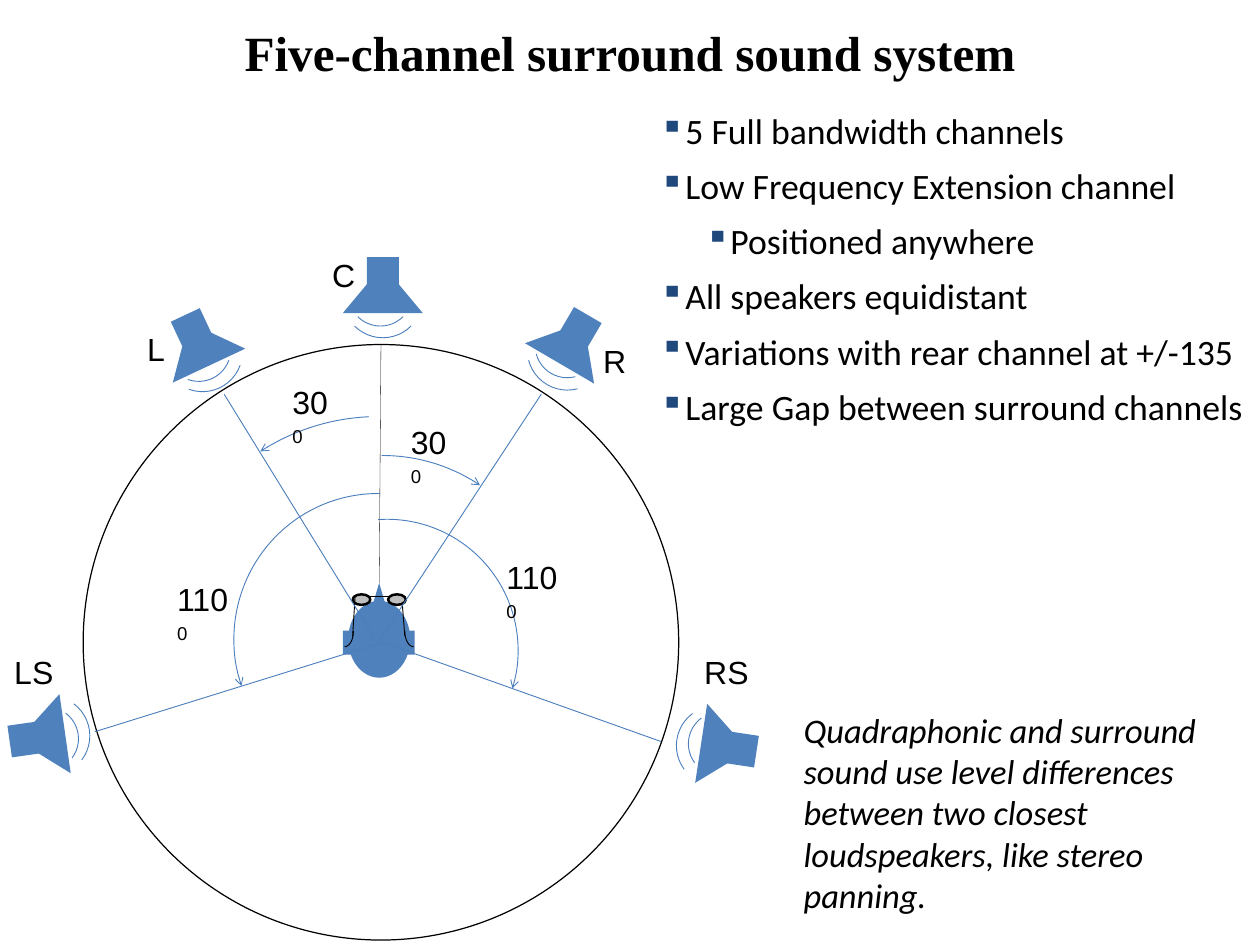
from lxml.etree import SubElement
from pptx import Presentation
from pptx.dml.color import RGBColor
from pptx.enum.shapes import MSO_CONNECTOR, MSO_SHAPE as Kind
from pptx.enum.text import MSO_ANCHOR as Anchor, PP_ALIGN as Align
from pptx.oxml.ns import qn
from pptx.util import Pt
from math import cos, radians, sin

BLACK, BLUE, LINE_BLUE, NAVY, GRAY = "000000", "4F81BD", "4B7EBC", "1F497D", "BFBFBF"

BULLETS = [
    ("5 Full bandwidth channels", 0),
    ("Low Frequency Extension channel", 0),
    ("Positioned anywhere", 1),
    ("All speakers equidistant", 0),
    ("Variations with rear channel at +/-135", 0),
    ("Large Gap between surround channels", 0),
]
BULLET_INDENTS = [(28, -21), (63.5, -19.5)]  # left margin and hanging indent by level

# Positions in the diagram are offsets from the centre of the circle.
SPEAKERS = [  # x, y, rotation
    (1.5, -287, 0),
    (-148, -242.5, -25.1),
    (155, -243.5, 30.3),
    (-276, 77, -98.1),
    (279.5, 85, 98.6),
]
RAYS = [  # start, end, colour, width
    ((0, -242), (-1.4, -48), BLACK, 0.25),
    ((-127.4, -201.6), (-5, -3), LINE_BLUE, 0.75),
    ((-5, 4.3), (130.3, -201.6), LINE_BLUE, 0.75),
    ((-232.6, 72.7), (1.4, 0), LINE_BLUE, 0.75),
    ((227.5, 80.6), (1.4, 0), LINE_BLUE, 0.75),
]
ANGLE_ARCS = [  # centre x, y, width, height, start, end, arrow end
    (-1.8, -6, 355, 355, 327.2, 357.4, "headEnd"),
    (1.4, -10, 283.7, 283.7, 359.7, 33.9, "tailEnd"),
    (-2.5, -2.5, 236.9, 234, 251.1, 0.9, "headEnd"),
    (5, 6.5, 213, 213, 356.1, 106.9, "tailEnd"),
]
LABELS = [  # text, superscript, x, y, width
    ("30", "0", 14.4, -183.6, 55),
    ("30", "0", -82, -216, 55),
    ("110", "0", 92, -74, 69),
    ("110", "0", -175.7, -56, 69),
    ("L", "", -200, -259, 36),
    ("C", "", -49.7, -319, 40),
    ("R", "", 170.6, -249.8, 40),
    ("LS", "", -308, 3.6, 53),
    ("RS", "", 252.7, 3, 57),
]


def color(value):
    return RGBColor.from_string(value)


def add_form(slide, kind, x, y, width, height, fill=None, line=None,
             weight=0.75, rotation=0):
    shape = slide.shapes.add_shape(kind, Pt(x), Pt(y), Pt(width), Pt(height))
    shape.shadow.inherit = False
    shape.rotation = rotation
    if fill:
        shape.fill.solid()
        shape.fill.fore_color.rgb = color(fill)
    else:
        shape.fill.background()
    if line:
        shape.line.color.rgb = color(line)
        shape.line.width = Pt(weight)
    else:
        shape.line.fill.background()
    return shape


def add_arc(slide, center_x, center_y, width, height, start=270, end=0,
            line=LINE_BLUE, rotation=0, arrow=None):
    shape = add_form(slide, Kind.ARC, center_x - width / 2, center_y - height / 2,
                     width, height, line=line, rotation=rotation)
    # One adjustment unit is 100000 / 60000 degrees.
    shape.adjustments[0], shape.adjustments[1] = start * 0.6, end * 0.6
    if arrow:
        SubElement(shape.line._get_or_add_ln(), qn("a:" + arrow), type="arrow")


def add_line(slide, x1, y1, x2, y2, line=BLACK, weight=0.75):
    connector = slide.shapes.add_connector(
        MSO_CONNECTOR.STRAIGHT, Pt(x1), Pt(y1), Pt(x2), Pt(y2))
    connector.line.color.rgb = color(line)
    connector.line.width = Pt(weight)
    SubElement(connector._element.spPr, qn("a:effectLst"))


def add_text_box(slide, box, inset=(10, 5), anchor=Anchor.TOP):
    frame = slide.shapes.add_textbox(*map(Pt, box)).text_frame
    frame.word_wrap = True
    frame.vertical_anchor = anchor
    frame.margin_left = frame.margin_right = Pt(inset[0])
    frame.margin_top = frame.margin_bottom = Pt(inset[1])
    return frame


def write(paragraph, text, font="Calibri", size=28, bold=False, italic=False,
          align=Align.LEFT, superscript=False):
    paragraph.alignment = align
    run = paragraph.add_run()
    run.text = text
    run.font.name, run.font.size = font, Pt(size)
    run.font.bold, run.font.italic = bold, italic
    run.font.color.rgb = color(BLACK)
    if superscript:
        run._r.get_or_add_rPr().set("baseline", "30000")


def indent(paragraph, left, first=0):
    properties = paragraph._p.get_or_add_pPr()
    properties.set("marL", str(Pt(left)))
    properties.set("indent", str(Pt(first)))
    return properties


def draw_title(slide, box):
    frame = add_text_box(slide, box, anchor=Anchor.MIDDLE)
    write(frame.paragraphs[0], "Five-channel surround sound system",
          font="Times New Roman", size=40, bold=True, align=Align.CENTER)


def draw_bullets(slide, box):
    frame = add_text_box(slide, box)
    for index, (text, level) in enumerate(BULLETS):
        paragraph = frame.add_paragraph() if index else frame.paragraphs[0]
        paragraph.level = level
        if index:
            paragraph.space_before = Pt(10)
        properties = indent(paragraph, *BULLET_INDENTS[level])
        bullet_color = SubElement(properties, qn("a:buClr"))
        SubElement(bullet_color, qn("a:srgbClr"), val=NAVY)
        SubElement(properties, qn("a:buSzPct"), val="95000")
        SubElement(properties, qn("a:buChar"), char="▪")
        write(paragraph, text, size=29)


def draw_remark(slide, box):
    paragraph = add_text_box(slide, box, inset=(7.2, 3.6)).paragraphs[0]
    indent(paragraph, 8)
    write(paragraph, "Quadraphonic and surround sound use level differences between "
          "two closest loudspeakers, like stereo panning.", italic=True)


def draw_speaker(slide, x, y, rotation):
    turn = radians(rotation)

    def place(across, down):
        return (x + across * cos(turn) - down * sin(turn),
                y + across * sin(turn) + down * cos(turn))

    # Magnet, cone, then two sound waves
    magnet_x, magnet_y = place(0, -13)
    add_form(slide, Kind.RECTANGLE, magnet_x - 13, magnet_y - 13, 26, 26,
             fill=BLUE, rotation=rotation + 90)
    add_form(slide, Kind.ISOSCELES_TRIANGLE, x - 32.5, y - 19.5, 65, 39,
             fill=BLUE, rotation=rotation)
    for across, down, size in [(0, 7, 65), (-2, 4, 52)]:
        add_arc(slide, *place(across, down), size, size, rotation=rotation + 135)


def draw_listener(slide, x, y):
    # Head, ears and nose
    add_form(slide, Kind.OVAL, x - 26.6, y - 33.8, 50.4, 62.6, fill=BLUE)
    for ear in (-31, 19.4):
        add_form(slide, Kind.RECTANGLE, x + ear, y - 9.4, 8, 19.4, fill=BLUE)
    add_form(slide, Kind.ISOSCELES_TRIANGLE, x - 7.2, y - 48.2, 11.5, 19.4, fill=BLUE)
    # Glasses
    for lens in (-23, 5.8):
        add_form(slide, Kind.OVAL, x + lens, y - 39, 14.4, 8.6,
                 fill=GRAY, line=BLACK, weight=2)
    for x1, y1, x2, y2 in [(-10.8, -37.4, 7.9, -37.4), (-21, -37.4, -23, -5),
                           (17.3, -31.7, 19.4, -5)]:
        add_line(slide, x + x1, y + y1, x + x2, y + y2)
    for hook, start in [(26.6, 90), (-29.5, 0)]:
        add_arc(slide, x + hook, y - 9, 14.4, 25.2, start, start + 90, line=BLACK)


def draw_diagram(slide, box):
    left, top, width, height = box
    x, y = left + width / 2, top + height / 2
    add_form(slide, Kind.OVAL, *box, line=BLACK, weight=1)
    for speaker_x, speaker_y, rotation in SPEAKERS:
        draw_speaker(slide, x + speaker_x, y + speaker_y, rotation)
    draw_listener(slide, x, y)
    for (x1, y1), (x2, y2), line, weight in RAYS:
        add_line(slide, x + x1, y + y1, x + x2, y + y2, line, weight)
    for arc_x, arc_y, arc_width, arc_height, start, end, arrow in ANGLE_ARCS:
        add_arc(slide, x + arc_x, y + arc_y, arc_width, arc_height, start, end,
                rotation=270, arrow=arrow)
    for text, degree, label_x, label_y, label_width in LABELS:
        frame = add_text_box(slide, (x + label_x, y + label_y, label_width, 42))
        write(frame.paragraphs[0], text, font="Arial", size=26)
        if degree:
            write(frame.paragraphs[0], degree, font="Arial", size=26, superscript=True)


def main():
    presentation = Presentation()
    presentation.slide_width, presentation.slide_height = Pt(1024), Pt(768)
    slide = presentation.slides.add_slide(presentation.slide_layouts[6])
    draw_diagram(slide, (67.6, 280, 484, 484))
    draw_title(slide, (51, 0, 922, 83.5))
    draw_bullets(slide, (519, 83.5, 505, 216))
    draw_remark(slide, (638, 572.5, 372, 177))
    presentation.save("out.pptx")


if __name__ == "__main__":
    main()
